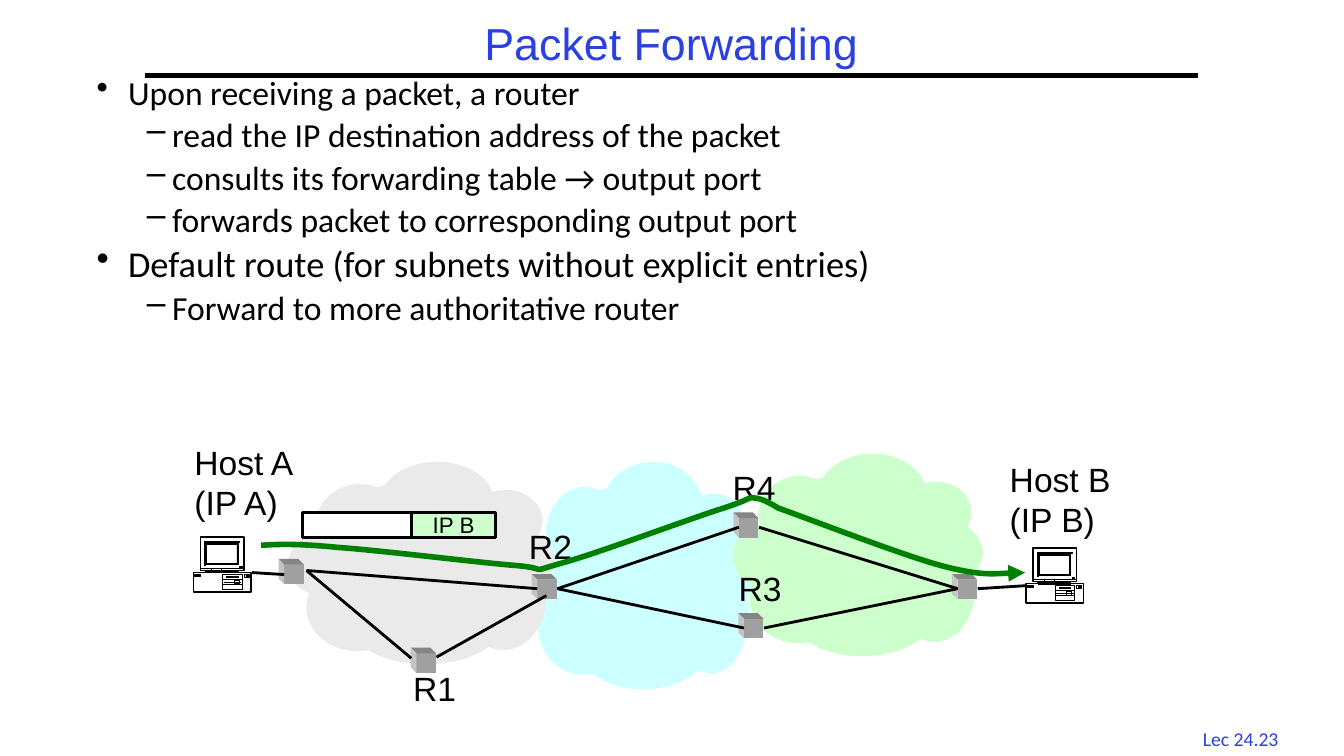
from dataclasses import dataclass

import pptx
import pptx.dml.color
import pptx.enum.shapes
import pptx.enum.text
import pptx.oxml
import pptx.oxml.ns
import pptx.util
from lxml import etree

Pt = pptx.util.Pt
Shape = pptx.enum.shapes.MSO_SHAPE
Align = pptx.enum.text.PP_ALIGN
Anchor = pptx.enum.text.MSO_ANCHOR
qn = pptx.oxml.ns.qn
Point = tuple[float, float]
BLACK, WHITE, BLUE, GREEN = "000000", "FFFFFF", "2A40E2", "008000"
PALE_GREEN = "CCFFCC"


@dataclass
class Box:
    left: float
    top: float
    width: float
    height: float


@dataclass
class Cloud:
    area: Box
    fill: str


@dataclass
class Label:
    lines: list[str]
    area: Box
    size: float = 24
    font: str = "Arial"
    color: str = BLACK
    align: Align = Align.LEFT
    anchor: Anchor = Anchor.TOP
    wrap: bool = False
    spacing: float = 1.0


@dataclass
class Bullet:
    text: str
    level: int = 0
    size: float = 24


CLOUD_PUFFS = [
    Box(34.1, 0, 43.6, 41.2), Box(10.2, 11, 33.3, 41.2), Box(0, 35.8, 22.6, 29.8),
    Box(6.8, 50.7, 38.3, 42.8), Box(22.3, 56.7, 59, 43.3), Box(68.2, 13.9, 27.3, 30.4),
    Box(67.8, 32.8, 32.2, 32.3), Box(64.8, 39.8, 32.2, 53.2), Box(6.8, 9, 89, 89),
]
CLOUDS = [
    Cloud(Box(373, 329.8, 167, 162.7), "CCFFFF"),
    Cloud(Box(205.9, 329.8, 190.1, 144.7), "EAEAEA"),
    Cloud(Box(523.4, 324, 178.6, 144.7), PALE_GREEN),
]
ROUTERS = [(203, 403.2), (383.8, 414), (684, 414), (531.4, 442), (527.8, 370), (297.4, 466.6)]
LINKS = [
    ((180, 409), (203, 410.4)),
    ((218.9, 407.5), (383.8, 420.5)),
    ((218.9, 407.5), (293.8, 470.2)),
    ((311.8, 469.4), (390.2, 425.5)),
    ((398.2, 420.5), (531.4, 448.6)),
    ((398.2, 420.5), (527.8, 376.6)),
    ((545.8, 448.6), (684, 420.5)),
    ((542.2, 376.6), (684, 420.5)),
    ((698.4, 420.5), (733.7, 418.3)),
]
HOSTS = [(138.2, 383.8), (733, 391.7)]
LABELS = [
    Label(["Packet Forwarding"], Box(103.7, 12.2, 751.7, 41.8), 32, color=BLUE,
          align=Align.CENTER, anchor=Anchor.MIDDLE, wrap=True, spacing=0.9),
    Label(["Lec 24.23"], Box(847.4, 515.5, 77.8, 23.8), 14, "Calibri", BLUE, Align.CENTER),
    Label(["Host A", "(IP A)"], Box(131.8, 311.8, 86.4, 65.5)),
    Label(["Host B", "(IP B)"], Box(714.2, 324, 93.6, 65.5)),
    Label(["R1"], Box(288, 473.8, 45.4, 36.7)),
    Label(["R2"], Box(370.8, 372.2, 45.4, 36.7)),
    Label(["R3"], Box(520.6, 401.8, 45.4, 36.7)),
    Label(["R4"], Box(516.2, 329.8, 45.4, 36.7)),
]
BULLETS = [
    Bullet("Upon receiving a packet, a router"),
    Bullet("read the IP destination address of the packet", 1),
    Bullet("consults its forwarding table → output port", 1),
    Bullet("forwards packet to corresponding output port", 1),
    Bullet("Default route (for subnets without explicit entries)", 0, 26),
    Bullet("Forward to more authoritative router", 1),
]
ROUTE = [
    (186.5, 389.5), (198.7, 388.8), (211, 388.1), (241.2, 391), (271.4, 393.1),
    (341.3, 401.8), (367.9, 403.9), (394.6, 406.1), (375.1, 409.7), (400.3, 402.5),
    (424.8, 396), (493.9, 370.1), (517, 362.9), (540.7, 355), (532.1, 355.7),
    (538.6, 355.7), (545, 355.7), (555.8, 362.9), (555.8, 362.9), (578.2, 370.8),
    (643, 396), (671.8, 403.9), (701.3, 411.8), (732.2, 409), (732.2, 409),
]

deck = pptx.Presentation()
deck.slide_width, deck.slide_height = Pt(960), Pt(540)
slide = deck.slides.add_slide(deck.slide_layouts[6])


def rgb(value: str) -> pptx.dml.color.RGBColor:
    return pptx.dml.color.RGBColor.from_string(value)


def paint(shape, fill: str | None, line: str | None = None, weight: float = 1) -> None:
    shape.shadow.inherit = False
    if fill:
        shape.fill.solid()
        shape.fill.fore_color.rgb = rgb(fill)
    else:
        shape.fill.background()
    if line:
        shape.line.color.rgb = rgb(line)
        shape.line.width = Pt(weight)
    else:
        shape.line.fill.background()


def draw_preset(kind: Shape, area: Box, fill: str | None, line: str | None = None,
                weight: float = 1):
    shape = slide.shapes.add_shape(
        kind, Pt(area.left), Pt(area.top), Pt(area.width), Pt(area.height))
    paint(shape, fill, line, weight)
    return shape


def draw_line(start: Point, end: Point, weight: float) -> None:
    line = slide.shapes.add_connector(
        pptx.enum.shapes.MSO_CONNECTOR.STRAIGHT, *(Pt(v) for v in (*start, *end)))
    line.line.color.rgb = rgb(BLACK)
    line.line.width = Pt(weight)
    etree.SubElement(line._element.spPr, qn("a:effectLst"))


def draw_outline(contours: list[list[Point]], origin: Point, fill: str | None,
                 line: str | None = None, weight: float = 1, closed: bool = True):
    placed = [[(Pt(origin[0] + x), Pt(origin[1] + y)) for x, y in c] for c in contours]
    builder = slide.shapes.build_freeform(*placed[0][0], scale=1.0)
    for index, contour in enumerate(placed):
        if index:
            builder.move_to(*contour[0])
        builder.add_line_segments(contour[1:], close=closed)
    shape = builder.convert_to_shape()
    paint(shape, fill, line, weight)
    return shape


def corners(left: float, top: float, right: float, bottom: float) -> list[Point]:
    return [(left, top), (right, top), (right, bottom), (left, bottom)]


def add_run(paragraph, text: str, size: float, font: str, color: str) -> None:
    run = paragraph.add_run()
    run.text = text
    run.font.size = Pt(size)
    run.font.name = font
    run.font.color.rgb = rgb(color)


def draw_label(label: Label) -> None:
    area = label.area
    frame = slide.shapes.add_textbox(
        Pt(area.left), Pt(area.top), Pt(area.width), Pt(area.height)).text_frame
    frame.word_wrap = label.wrap
    frame.vertical_anchor = label.anchor
    for index, text in enumerate(label.lines):
        paragraph = frame.add_paragraph() if index else frame.paragraphs[0]
        paragraph.alignment = label.align
        paragraph.line_spacing = label.spacing
        add_run(paragraph, text, label.size, label.font, label.color)


def draw_bullets(bullets: list[Bullet], area: Box) -> None:
    frame = slide.shapes.add_textbox(
        Pt(area.left), Pt(area.top), Pt(area.width), Pt(area.height)).text_frame
    frame.word_wrap = True
    for index, bullet in enumerate(bullets):
        paragraph = frame.add_paragraph() if index else frame.paragraphs[0]
        margin, hanging, mark = [(22.5, 22.5, "•"), (54, 18, "–")][bullet.level]
        paragraph.level = bullet.level
        properties = paragraph._p.get_or_add_pPr()
        properties.set("marL", str(Pt(margin)))
        properties.set("indent", str(-Pt(hanging)))
        etree.SubElement(properties, qn("a:buChar")).set("char", mark)
        paragraph.line_spacing = 0.8
        if index:
            paragraph.space_before = Pt(0.3 * bullet.size)
        add_run(paragraph, bullet.text, bullet.size, "Calibri", BLACK)


def draw_cloud(cloud: Cloud) -> None:
    area = cloud.area
    for puff in CLOUD_PUFFS:
        draw_preset(Shape.OVAL, Box(
            area.left + area.width * puff.left / 100, area.top + area.height * puff.top / 100,
            area.width * puff.width / 100, area.height * puff.height / 100), cloud.fill)


def draw_router(origin: Point) -> None:
    side, depth = 14, 4
    draw_outline([corners(0, 0, side, side)], origin, "A0A0A0")
    draw_outline([[(0, 0), (-depth, -depth), (side - depth, -depth), (side, 0)]], origin, "858585")
    draw_outline([[(0, 0), (-depth, -depth), (-depth, side - depth), (0, side)]], origin, "C4C4C4")


def draw_host(origin: Point) -> None:
    x, y = origin
    case = [(8.6, 25.2), (0, 25.2), (0, 38.9), (41, 38.9), (41, 25.2), (31.7, 25.2),
            (31.7, 23.8), (36, 23.8), (36, 0), (5, 0), (5, 23.8), (8.6, 23.8)]
    bezel = [(8.6, 19.4), (31.7, 19.4), (31.7, 3.6), (33.1, 3.6), (33.1, 2.9),
             (7.9, 2.9), (7.9, 20.2), (8.6, 20.2)]
    drives = [corners(20.9, 26.6, 34.6, 37.4), corners(36, 26.6, 37.4, 28.8)]
    details = [corners(9.4, 5, 31, 18.7), corners(33.1, 20.9, 34.6, 21.6),
               corners(0.7, 26.6, 5, 28.1), corners(23.8, 28.1, 31.7, 28.8),
               corners(38.2, 26.6, 39.6, 27.4), corners(38.2, 28.1, 39.6, 28.8)]
    seams = [(8.6, 25.2, 31.7, 25.2, 1.25), (8.6, 23.8, 31.7, 23.8, 1.25),
             (20.9, 30.2, 34.6, 30.2, 0.38), (20.9, 33.8, 34.6, 33.8, 0.38),
             (21.6, 32.4, 33.8, 32.4, 0.38), (5, 22.3, 36, 22.3, 0.38),
             (13, 23.8, 13, 22.3, 0.38), (20.2, 23.8, 20.2, 22.3, 0.38)]
    draw_outline([case], origin, WHITE, BLACK, 1.25)
    draw_outline(drives, origin, WHITE, BLACK, 0.38)
    draw_outline([bezel, *details], origin, BLACK, BLACK, 0.38)
    draw_preset(Shape.RECTANGLE, Box(x + 28.8, y + 31, 3.6, 2.2), None, BLACK, 0.38)
    for x1, y1, x2, y2, weight in seams:
        draw_line((x + x1, y + y1), (x + x2, y + y2), weight)


def draw_route(points: list[Point]) -> None:
    route = draw_outline([points], (0, 0), None, GREEN, 4, closed=False)
    segments = list(route._element.iter(qn("a:lnTo")))
    for first, second, third in zip(segments[::3], segments[1::3], segments[2::3]):
        curve = pptx.oxml.parse_xml(f'<a:cubicBezTo {pptx.oxml.ns.nsdecls("a")}/>')
        first.addprevious(curve)
        for segment in (first, second, third):
            curve.append(segment[0])
            segment.getparent().remove(segment)
    etree.SubElement(route.line._get_or_add_ln(), qn("a:tailEnd")).set("type", "triangle")


def draw_packet() -> None:
    draw_preset(Shape.RECTANGLE, Box(216, 365.8, 78, 18), WHITE, BLACK, 2)
    address = draw_preset(Shape.RECTANGLE, Box(294, 365.8, 60, 18), PALE_GREEN, BLACK, 2)
    address.text_frame.vertical_anchor = Anchor.MIDDLE
    paragraph = address.text_frame.paragraphs[0]
    paragraph.alignment = Align.CENTER
    add_run(paragraph, "IP B", 16, "Arial", BLACK)


def main() -> None:
    draw_line((103.7, 54), (856, 54), 3)
    for cloud in CLOUDS:
        draw_cloud(cloud)
    draw_bullets(BULLETS, Box(61.9, 53.3, 746, 205.2))
    for router in ROUTERS:
        draw_router(router)
    for start, end in LINKS:
        draw_line(start, end, 2)
    for host in HOSTS:
        draw_host(host)
    for label in LABELS:
        draw_label(label)
    draw_route(ROUTE)
    draw_packet()
    deck.save("out.pptx")


if __name__ == "__main__":
    main()
